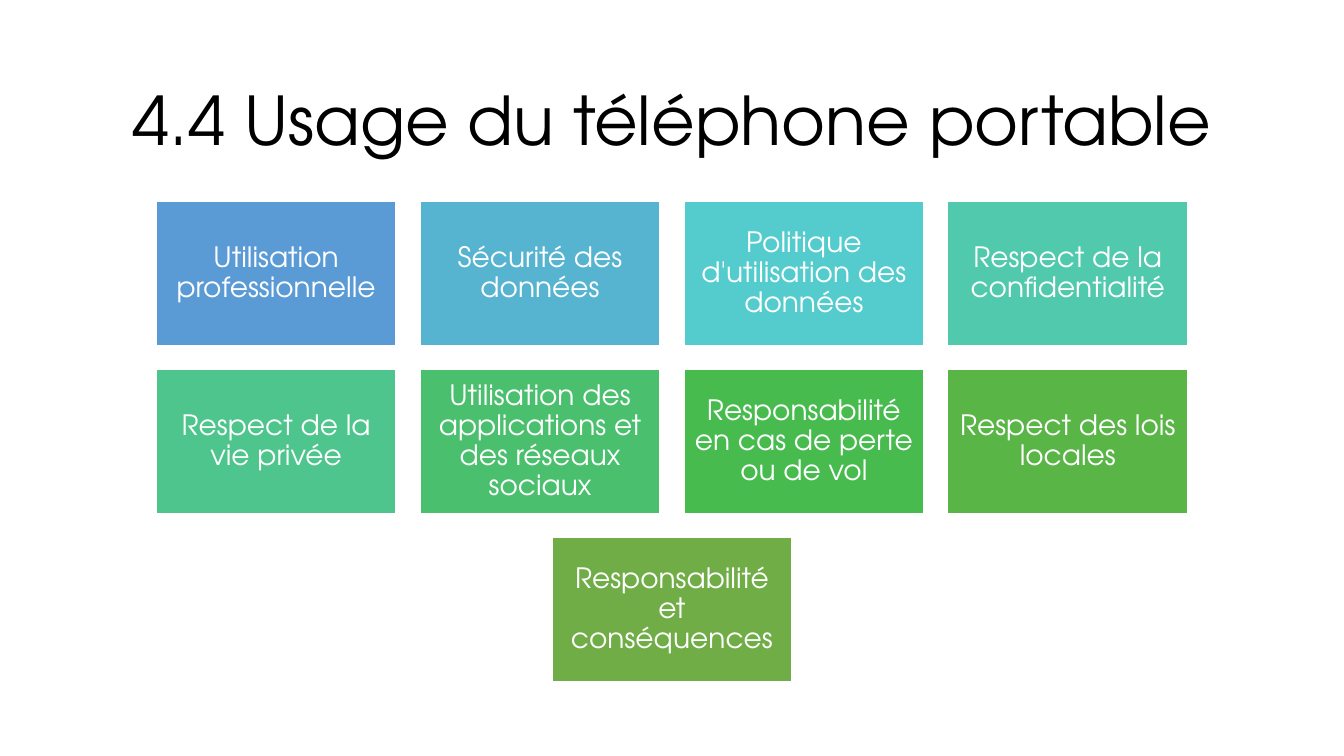
from pptx import Presentation
from pptx.dml.color import RGBColor
from pptx.enum.shapes import MSO_SHAPE
from pptx.enum.text import MSO_ANCHOR, PP_ALIGN
from pptx.util import Cm, Pt

RECTANGLE = MSO_SHAPE.RECTANGLE
MIDDLE = MSO_ANCHOR.MIDDLE
CENTER = PP_ALIGN.CENTER

FONT = "TeX Gyre Adventor"
BLACK = RGBColor(0x00, 0x00, 0x00)
WHITE = RGBColor(0xFF, 0xFF, 0xFF)

SLIDE_WIDTH, SLIDE_HEIGHT = 33.87, 19.05
TILE_WIDTH, TILE_HEIGHT = 6.05, 3.63
GAP = 0.6
GRID_TOP = 5.08

RULE_ROWS = [
    [
        ("Utilisation professionnelle", RGBColor(0x5B, 0x9B, 0xD5)),
        ("Sécurité des données", RGBColor(0x57, 0xB4, 0xD1)),
        ("Politique d'utilisation des données", RGBColor(0x54, 0xCC, 0xCD)),
        ("Respect de la confidentialité", RGBColor(0x51, 0xC9, 0xAD)),
    ],
    [
        ("Respect de la vie privée", RGBColor(0x4D, 0xC5, 0x8D)),
        ("Utilisation des applications et des réseaux sociaux", RGBColor(0x4A, 0xC0, 0x6E)),
        ("Responsabilité en cas de perte ou de vol", RGBColor(0x48, 0xBB, 0x4F)),
        ("Respect des lois locales", RGBColor(0x59, 0xB5, 0x46)),
    ],
    [
        ("Responsabilité et conséquences", RGBColor(0x70, 0xAD, 0x47)),
    ],
]


def write_text(shape, text, *, size, color, inset):
    frame = shape.text_frame
    frame.word_wrap = True
    frame.vertical_anchor = MIDDLE
    frame.margin_left = frame.margin_right = Cm(inset)
    frame.margin_top = frame.margin_bottom = Cm(inset)
    paragraph = frame.paragraphs[0]
    paragraph.alignment = CENTER
    paragraph.line_spacing = 0.9
    run = paragraph.add_run()
    run.text = text
    run.font.name = FONT
    run.font.size = Pt(size)
    run.font.color.rgb = color


prs = Presentation()
prs.slide_width = Cm(SLIDE_WIDTH)
prs.slide_height = Cm(SLIDE_HEIGHT)
slide = prs.slides.add_slide(prs.slide_layouts[6])

title = slide.shapes.add_textbox(Cm(2.33), Cm(1.55), Cm(29.21), Cm(3.15))
write_text(title, "4.4 Usage du téléphone portable", size=48, color=BLACK, inset=0.2)

for row, rules in enumerate(RULE_ROWS):
    row_width = len(rules) * (TILE_WIDTH + GAP) - GAP
    row_left = (SLIDE_WIDTH - row_width) / 2
    top = GRID_TOP + row * (TILE_HEIGHT + GAP)
    for column, (rule, color) in enumerate(rules):
        left = row_left + column * (TILE_WIDTH + GAP)
        tile = slide.shapes.add_shape(
            RECTANGLE, Cm(left), Cm(top), Cm(TILE_WIDTH), Cm(TILE_HEIGHT)
        )
        tile.shadow.inherit = False
        tile.fill.solid()
        tile.fill.fore_color.rgb = color
        tile.line.color.rgb = WHITE
        tile.line.width = Pt(1)
        write_text(tile, rule, size=20, color=WHITE, inset=0.2)

prs.save("out.pptx")
